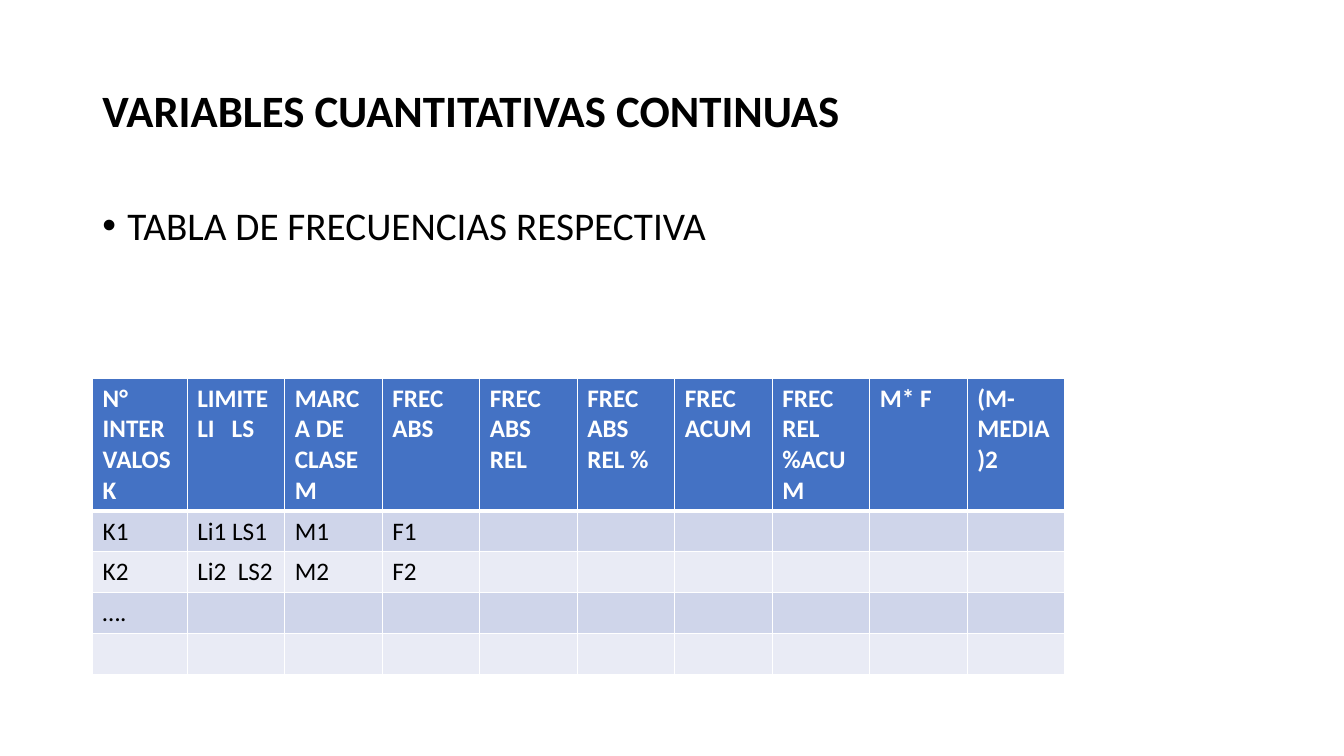
import dataclasses

import pptx
import pptx.chart.data
import pptx.dml.color
import pptx.enum.text
import pptx.oxml
import pptx.oxml.ns
import pptx.util
from lxml import etree

Pt = pptx.util.Pt
RGB = pptx.dml.color.RGBColor.from_string
qn = pptx.oxml.ns.qn
ANCHOR = pptx.enum.text.MSO_ANCHOR

HEADERS = [
    ["N° INTERVALOS", "K"], ["LIMITE", "LI   LS"], ["MARCA DE CLASE", "M"],
    ["FREC ABS"], ["FREC ABS REL"], ["FREC ABS REL %"], ["FREC ACUM"],
    ["FREC REL %ACUM"], ["M* F"], ["(M-MEDIA)2"],
]
ROWS = [
    ["K1", "Li1 LS1", "M1", "F1"],
    ["K2", "Li2  LS2", "M2", "F2"],
    ["…."],
    [],
]


@dataclasses.dataclass
class Theme:
    font: str = "Calibri"
    ink: str = "000000"
    paper: str = "FFFFFF"
    header: str = "4472C4"
    bands: tuple = ("CFD5EA", "E9EBF5")
    title_size: float = 32
    body_size: float = 28
    cell_size: float = 18


class Deck:
    """Draws styled elements on the current slide."""

    def __init__(self, prs, theme):
        self.theme = theme
        self.s = prs.slides.add_slide(prs.slide_layouts[6])

    def run(self, p, text, size, color, bold=False):
        r = p.add_run()
        r.text = text
        r.font.name = self.theme.font
        r.font.size = Pt(size)
        r.font.bold = bold
        r.font.color.rgb = RGB(color)

    def text(self, box, text, size, bold=False, anchor=ANCHOR.TOP):
        tf = self.s.shapes.add_textbox(*map(Pt, box)).text_frame
        tf.word_wrap = True
        tf.vertical_anchor = anchor
        p = tf.paragraphs[0]
        p.line_spacing = 0.9
        self.run(p, text, size, self.theme.ink, bold)
        return p

    def bullet(self, box, text, size, indent=18):
        p = self.text(box, text, size)
        p.space_before = Pt(10)
        pPr = p._p.get_or_add_pPr()
        pPr.set("marL", str(Pt(indent)))
        pPr.set("indent", str(-Pt(indent)))
        etree.SubElement(pPr, qn("a:buFont"), typeface="Arial")
        etree.SubElement(pPr, qn("a:buChar"), char="•")

    def borders(self, cell, top=1, bottom=1):
        tcPr = cell._tc.get_or_add_tcPr()
        for side, width in (("L", 1), ("R", 1), ("T", top), ("B", bottom)):
            ln = etree.SubElement(tcPr, qn(f"a:ln{side}"), w=str(Pt(width)))
            fill = etree.SubElement(ln, qn("a:solidFill"))
            etree.SubElement(fill, qn("a:srgbClr"), val=self.theme.paper)

    def cell(self, cell, lines, fill, color, bold=False, **widths):
        self.borders(cell, **widths)
        cell.fill.solid()
        cell.fill.fore_color.rgb = RGB(fill)
        tf = cell.text_frame
        for i, line in enumerate(lines):
            p = tf.add_paragraph() if i else tf.paragraphs[0]
            self.run(p, line, self.theme.cell_size, color, bold)

    def table(self, left, top, widths, heights, headers, rows):
        t = self.theme
        box = (left, top, sum(widths), sum(heights))
        table = self.s.shapes.add_table(
            len(heights), len(widths), *map(Pt, box)).table
        for column, width in zip(table.columns, widths):
            column.width = Pt(width)
        for row, height in zip(table.rows, heights):
            row.height = Pt(height)
        for c, lines in enumerate(headers):
            self.cell(table.cell(0, c), lines, t.header, t.paper, True, bottom=3)
        for r, values in enumerate(rows, 1):
            for c in range(len(widths)):
                self.cell(table.cell(r, c), values[c:c + 1],
                          t.bands[(r - 1) % 2], t.ink, top=3 if r == 1 else 1)


def main():
    prs = pptx.Presentation()
    prs.slide_width, prs.slide_height = Pt(960), Pt(540)
    theme = Theme()
    deck = Deck(prs, theme)
    deck.text((66, 28.75, 828, 104.4), "VARIABLES CUANTITATIVAS CONTINUAS",
              theme.title_size, bold=True, anchor=ANCHOR.MIDDLE)
    deck.bullet((66, 143.75, 828, 342.6), "TABLA DE FRECUENCIAS RESPECTIVA",
                theme.body_size)
    deck.table(66.2, 270, [67.6] + [69.65] * 9, [95] + [29.2] * 4,
               HEADERS, ROWS)
    prs.save("out.pptx")


if __name__ == "__main__":
    main()
